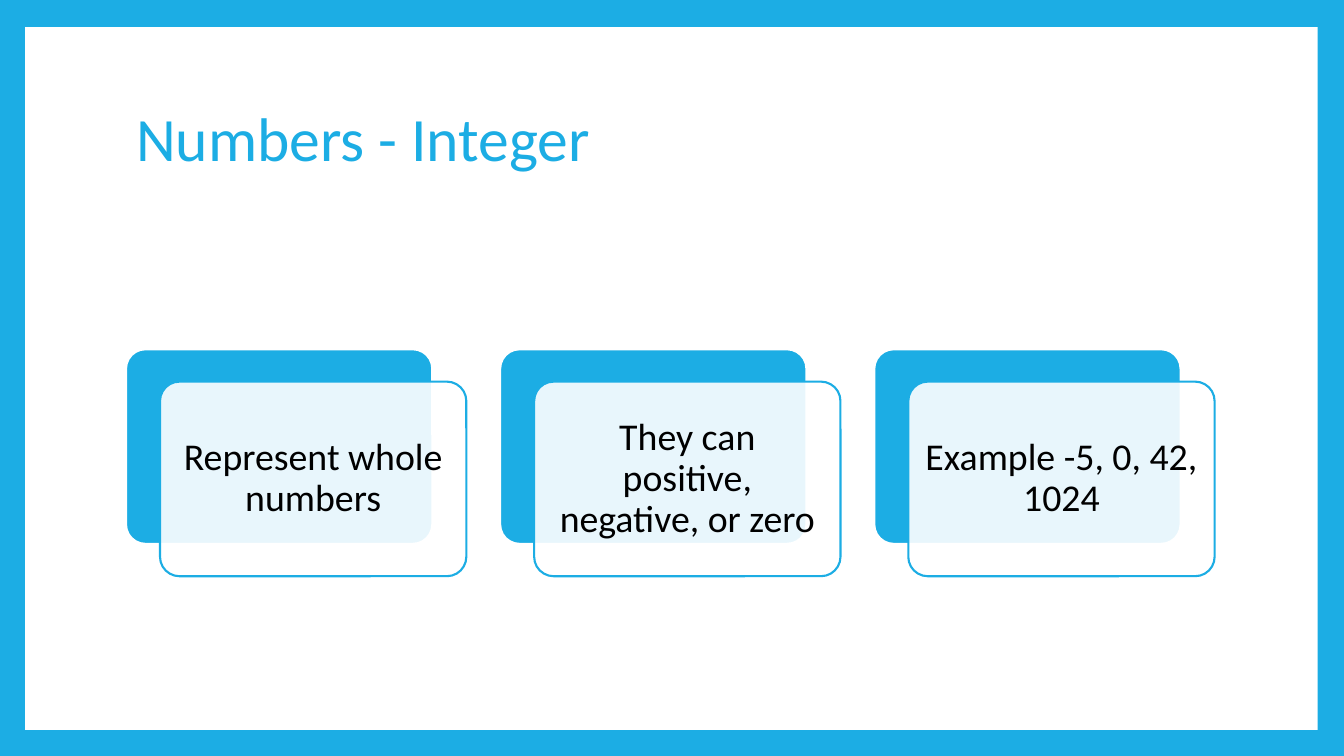
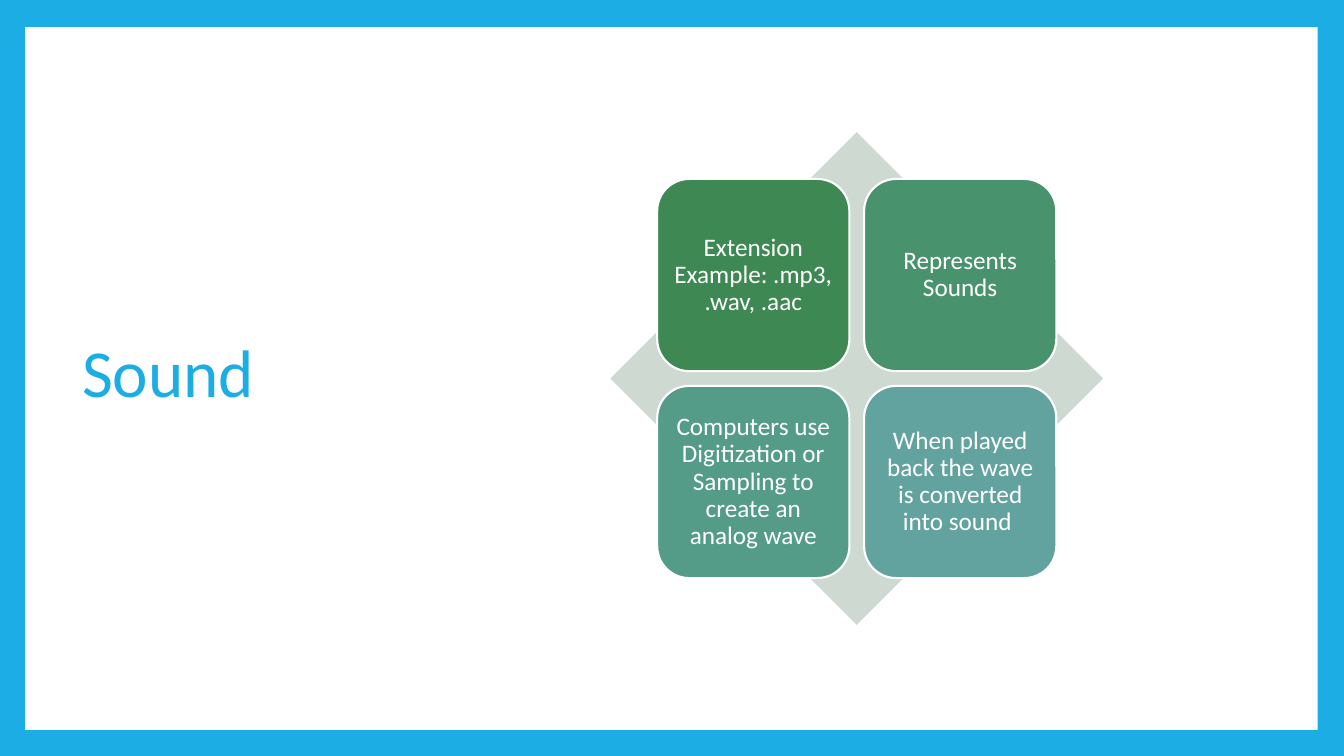
from lxml import etree
from pptx import Presentation
from pptx.dml.color import RGBColor
from pptx.enum.shapes import MSO_SHAPE as Shape
from pptx.enum.text import MSO_ANCHOR as Anchor, PP_ALIGN as Align
from pptx.oxml.ns import qn
from pptx.util import Pt

SKY = RGBColor(0x1C, 0xAD, 0xE4)
WHITE = RGBColor(0xFF, 0xFF, 0xFF)
BLACK = RGBColor(0x00, 0x00, 0x00)
SAGE = RGBColor(0xCE, 0xDA, 0xD1)
FONT = "Calibri"
TITLE_ONLY = 5

INTEGER_TITLE = "Numbers - Integer"
INTEGER_FACTS = [
    "Represent whole numbers",
    "They can positive, negative, or zero",
    "Example -5, 0, 42, 1024",
]
SOUND_TITLE = "Sound"
SOUND_FACTS = [
    ("Extension Example: .mp3, .wav, .aac", RGBColor(0x3E, 0x88, 0x53)),
    ("Represents Sounds", RGBColor(0x49, 0x92, 0x6E)),
    ("Computers use Digitization or Sampling to create an analog wave",
     RGBColor(0x54, 0x9C, 0x88)),
    ("When played back the wave is converted into sound ",
     RGBColor(0x62, 0xA3, 0x9F)),
]


def add_block(slide, kind, box, fill, line=None, corner=None):
    shape = slide.shapes.add_shape(kind, *(Pt(length) for length in box))
    shape.shadow.inherit = False
    shape.fill.solid()
    shape.fill.fore_color.rgb = fill
    if line is None:
        shape.line.fill.background()
    else:
        shape.line.color.rgb = line
        shape.line.width = Pt(1.5)
    if corner is not None:
        shape.adjustments[0] = corner
    return shape


def write(shape, text, size, color, align, inset=None):
    frame = shape.text_frame
    frame.word_wrap = True
    frame.vertical_anchor = Anchor.MIDDLE
    if inset is not None:
        frame.margin_left = frame.margin_right = Pt(inset)
        frame.margin_top = frame.margin_bottom = Pt(inset)
    paragraph = frame.paragraphs[0]
    paragraph.alignment = align
    paragraph.line_spacing = 0.9
    run = paragraph.add_run()
    run.text = text
    run.font.name = FONT
    run.font.size = Pt(size)
    run.font.color.rgb = color


def set_opacity(shape, percent):
    color = shape.element.spPr.find(qn("a:solidFill"))[0]
    etree.SubElement(color, qn("a:alpha")).set("val", str(percent * 1000))


def add_titled_slide(presentation, title, box, size):
    slide = presentation.slides.add_slide(presentation.slide_layouts[TITLE_ONLY])
    holder = slide.shapes.title
    holder.left, holder.top, holder.width, holder.height = map(Pt, box)
    write(holder, title, size, SKY, Align.LEFT)
    return slide


def frame_master(presentation, slide):
    """Give the master a blue background and the white panel, built on a slide."""
    master = presentation.slide_master
    master.background.fill.solid()
    master.background.fill.fore_color.rgb = SKY
    panel = add_block(slide, Shape.RECTANGLE, (18, 19.4, 923.3, 502), WHITE)
    next_id = max(shape.shape_id for shape in master.shapes) + 1
    panel.element.nvSpPr.cNvPr.set("id", str(next_id))
    master.element.cSld.spTree.insert(2, panel.element)


def add_fact_cards(slide, facts):
    left, top, span = 90, 249.5, 777.6
    width, height = 218.8, 139
    shift_x, shift_y = 24.3, 23.1
    pitch = (span - width - shift_x) / (len(facts) - 1)
    for index, fact in enumerate(facts):
        x = left + index * pitch
        add_block(slide, Shape.ROUNDED_RECTANGLE, (x, top, width, height),
                  SKY, WHITE, 0.1)
        card = add_block(slide, Shape.ROUNDED_RECTANGLE,
                         (x + shift_x, top + shift_y, width, height),
                         WHITE, SKY, 0.1)
        set_opacity(card, 90)
        write(card, fact, 27, BLACK, Align.CENTER, 8.1)


def add_fact_diamond(slide, facts):
    left, top, side = 436, 94.4, 352
    tile, gap = 137.3, 10.5
    margin = (side - 2 * tile - gap) / 2
    add_block(slide, Shape.DIAMOND, (left, top, side, side), SAGE)
    for index, (fact, fill) in enumerate(facts):
        row, column = divmod(index, 2)
        x = left + margin + column * (tile + gap)
        y = top + margin + row * (tile + gap)
        block = add_block(slide, Shape.ROUNDED_RECTANGLE, (x, y, tile, tile),
                          fill, WHITE)
        write(block, fact, 18, WHITE, Align.CENTER, 5.4)


def main():
    presentation = Presentation()
    presentation.slide_width, presentation.slide_height = Pt(960), Pt(540)

    integer = add_titled_slide(presentation, INTEGER_TITLE,
                               (90, 47.9, 777.6, 106.2), 44)
    frame_master(presentation, integer)
    add_fact_cards(integer, INTEGER_FACTS)

    sound = add_titled_slide(presentation, SOUND_TITLE,
                             (51.4, 47.9, 265, 441), 48)
    add_fact_diamond(sound, SOUND_FACTS)

    presentation.save("out.pptx")


if __name__ == "__main__":
    main()
